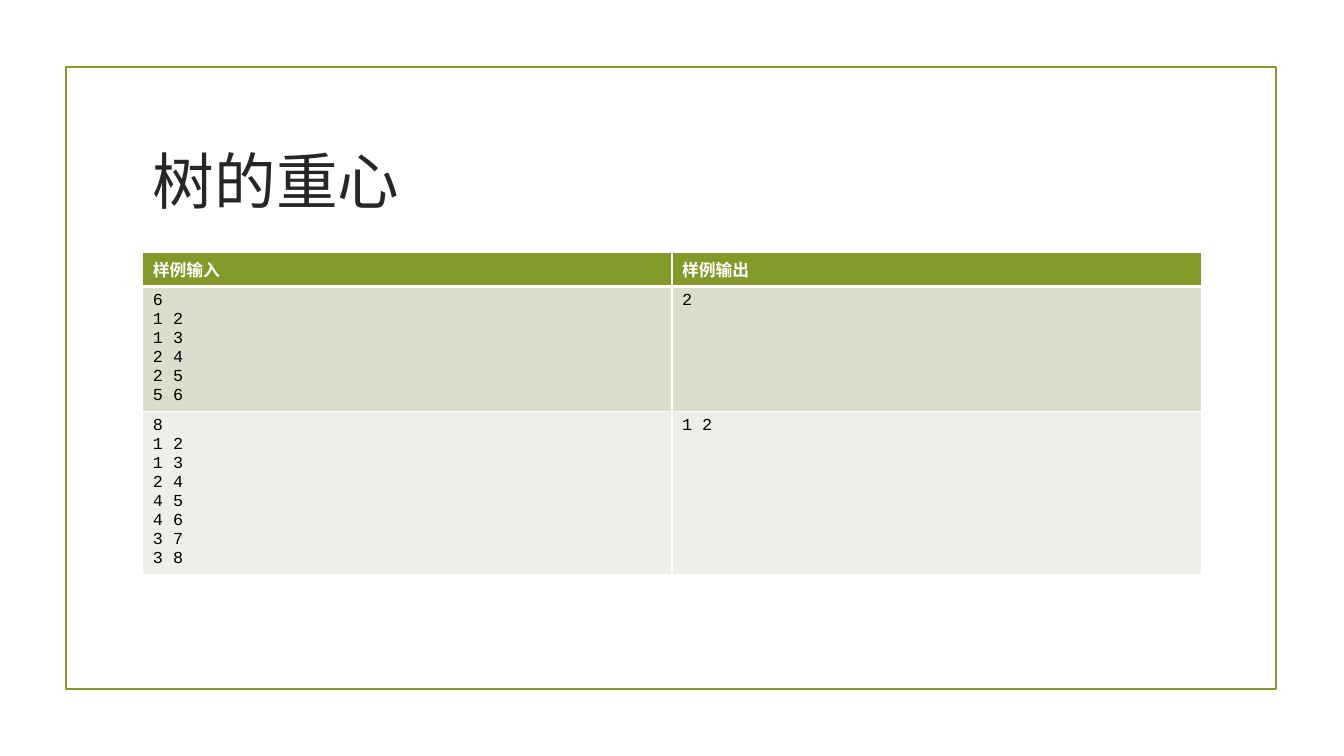
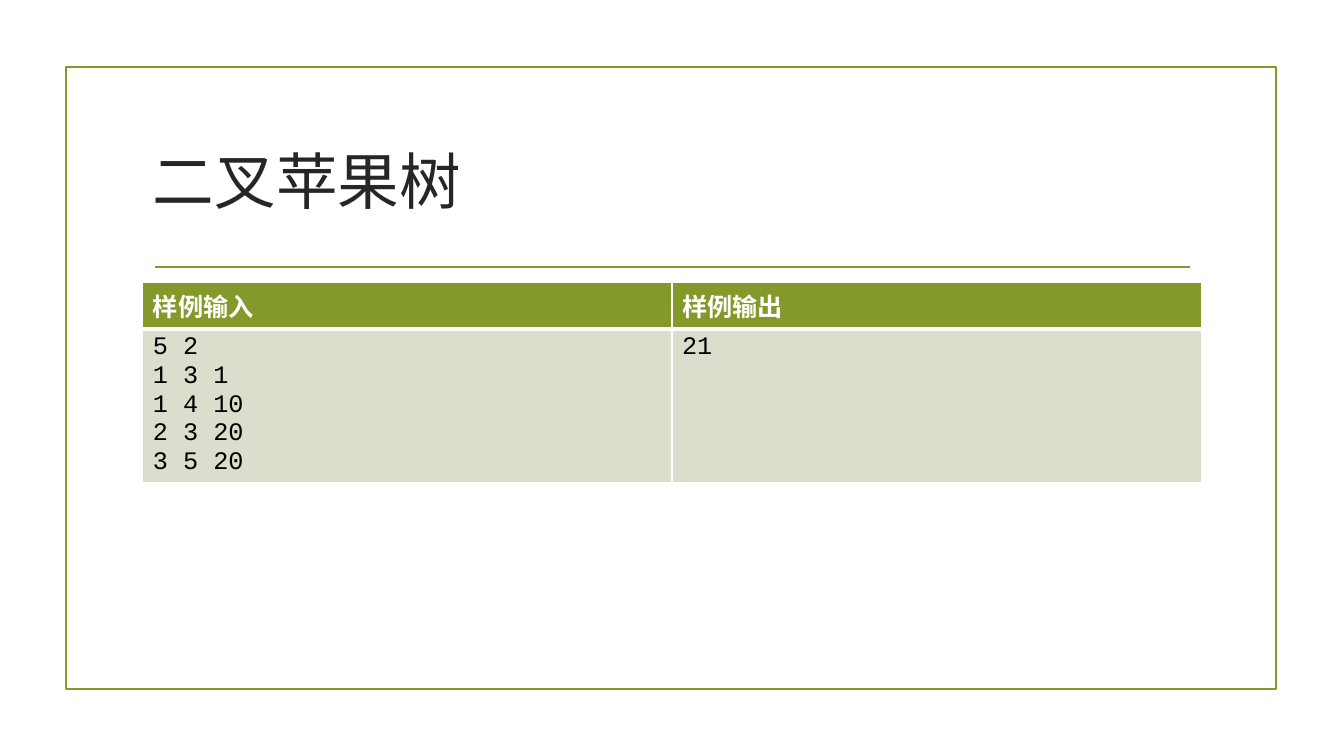
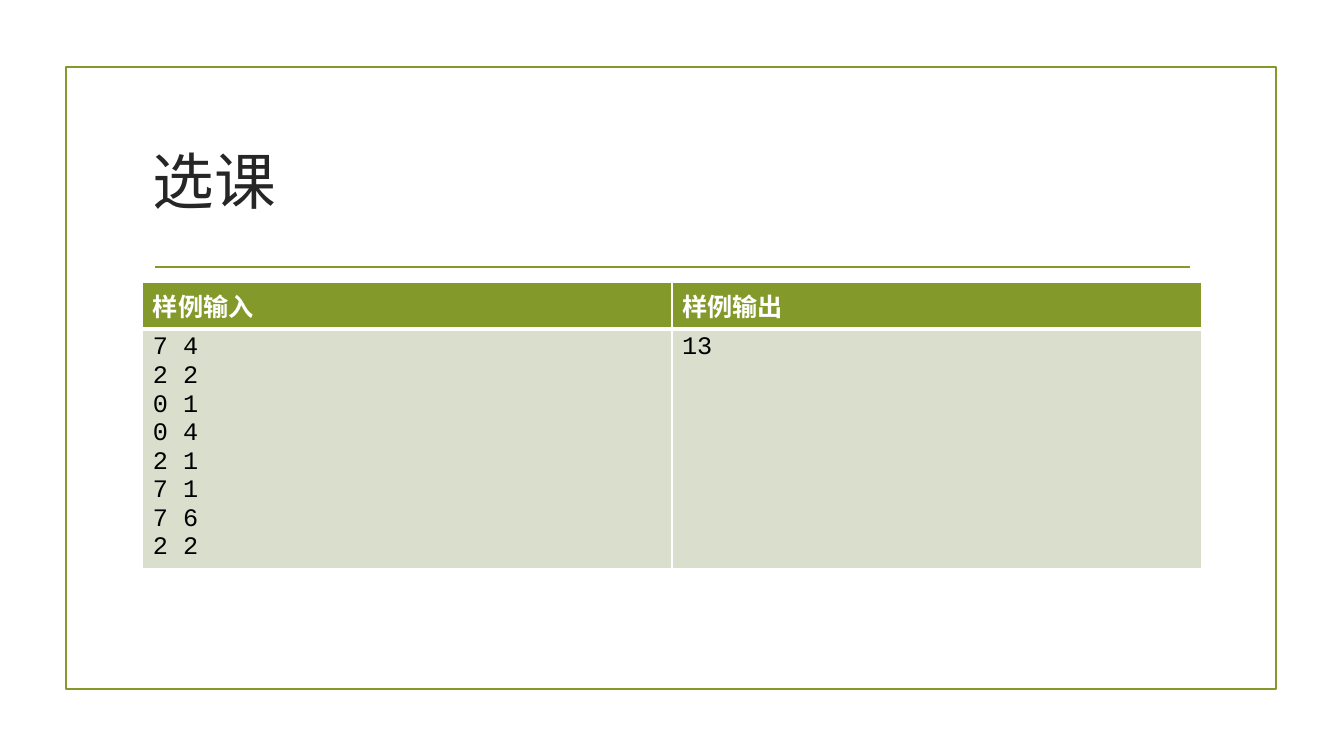
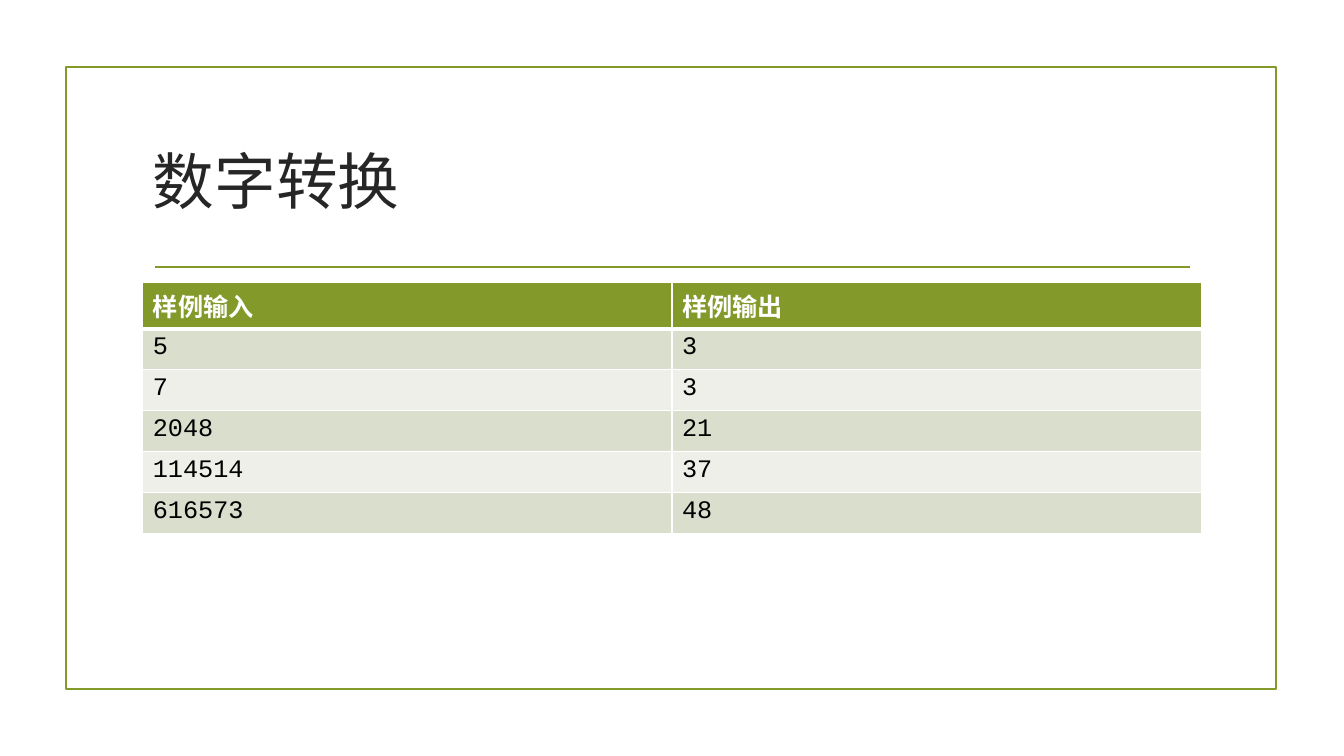
from lxml.etree import SubElement
from pptx import Presentation
from pptx.dml.color import RGBColor
from pptx.enum.shapes import MSO_CONNECTOR, MSO_SHAPE
from pptx.enum.text import MSO_ANCHOR, MSO_AUTO_SIZE, PP_ALIGN
from pptx.oxml import parse_xml
from pptx.oxml.ns import nsdecls, qn
from pptx.util import Emu, Pt

UNIT = 76200
COLS, ROWS = 160, 90
LEFT, WIDE = 17, 126
GREEN, WHITE, BLACK, DARK = "83992A", "FFFFFF", "000000", "262626"
BANDS = ("D9DECD", "EDEFE8")
HEADS = ("样例输入", "样例输出")
SLIDES = (
    ("树的重心", 30, 12, (
        ("6\n1 2\n1 3\n2 4\n2 5\n5 6", "2"),
        ("8\n1 2\n1 3\n2 4\n4 5\n4 6\n3 7\n3 8", "1 2"))),
    ("二叉苹果树", 33.6, 18, (
        ("5 2\n1 3 1\n1 4 10\n2 3 20\n3 5 20", "21"),)),
    ("选课", 33.6, 18, (
        ("7 4\n2 2\n0 1\n0 4\n2 1\n7 1\n7 6\n2 2", "13"),)),
    ("数字转换", 33.6, 18, (
        ("5", "3"), ("7", "3"), ("2048", "21"),
        ("114514", "37"), ("616573", "48"))),
)


def grid(*cells):
    """Turn grid units into lengths."""
    return [Emu(round(cell * UNIT)) for cell in cells]


def color(text):
    """Turn a hex string into a colour."""
    return RGBColor.from_string(text)


def write(para, text, font, size, tint, bold=False):
    """Add one styled run to a paragraph."""
    run = para.add_run()
    run.text = text
    run.font.name, run.font.size, run.font.bold = font, Pt(size), bold
    run.font.color.rgb = color(tint)


def stroke(shape):
    """Give a shape the thin green line."""
    shape.line.color.rgb = color(GREEN)
    shape.line.width = Pt(1.25)


def frame(slide):
    """Draw the border and the rule under the title."""
    box = slide.shapes.add_shape(MSO_SHAPE.RECTANGLE, *grid(7.9, 8, 144, 74))
    box.fill.background()
    box.shadow.inherit = False
    stroke(box)
    rule = slide.shapes.add_connector(
        MSO_CONNECTOR.STRAIGHT, *grid(18.4, 31.8, 141.7, 31.8))
    stroke(rule)
    SubElement(rule.element.spPr, qn("a:effectLst"))


def head(slide, text):
    """Place and fill the title."""
    title = slide.shapes.title
    title.left, title.top, title.width, title.height = grid(
        LEFT, 12.8, WIDE, 17.2)
    body = title.text_frame
    body.word_wrap, body.auto_size = True, MSO_AUTO_SIZE.NONE
    body.vertical_anchor = MSO_ANCHOR.MIDDLE
    para = body.paragraphs[0]
    para.alignment = PP_ALIGN.LEFT
    write(para, text, "Times New Roman", 44, DARK)


def edge(cell, top, base):
    """Draw the white borders of a cell."""
    props = cell._tc.get_or_add_tcPr()
    sides = (("L", 1), ("R", 1), ("T", top), ("B", base))
    for spot, (side, size) in enumerate(sides):
        props.insert(spot, parse_xml(
            f'<a:ln{side} {nsdecls("a")} w="{Pt(size)}"><a:solidFill>'
            f'<a:srgbClr val="{WHITE}"/></a:solidFill></a:ln{side}>'))


def fill(cell, text, size, row):
    """Fill a cell in the style of its row."""
    first = row == 0
    cell.fill.solid()
    cell.fill.fore_color.rgb = color(GREEN if first else BANDS[(row - 1) % 2])
    edge(cell, 3 if row == 1 else 1, 3 if first else 1)
    body = cell.text_frame
    for spot, line in enumerate(text.split("\n")):
        para = body.add_paragraph() if spot else body.paragraphs[0]
        write(para, line, "Courier New", size, WHITE if first else BLACK, first)


def tall(texts, size, row):
    """Work out a row's height in grid units."""
    if row == 0:
        return 1.2 + size * 0.23
    lines = max(text.count("\n") + 1 for text in texts)
    return max(4.88, 1.2 + lines * size * 0.19)


def samples(slide, top, size, pairs):
    """Add the table of sample inputs and outputs."""
    rows = (HEADS, *pairs)
    highs = [tall(texts, size, row) for row, texts in enumerate(rows)]
    table = slide.shapes.add_table(
        len(rows), len(HEADS), *grid(LEFT, top, WIDE, sum(highs))).table
    for row, texts in enumerate(rows):
        table.rows[row].height = grid(highs[row])[0]
        for col, text in enumerate(texts):
            fill(table.cell(row, col), text, size, row)


def main():
    """Build and save the deck."""
    deck = Presentation()
    deck.slide_width, deck.slide_height = grid(COLS, ROWS)
    for title, top, size, pairs in SLIDES:
        slide = deck.slides.add_slide(deck.slide_layouts[5])
        frame(slide)
        head(slide, title)
        samples(slide, top, size, pairs)
    deck.save("out.pptx")


if __name__ == "__main__":
    main()
